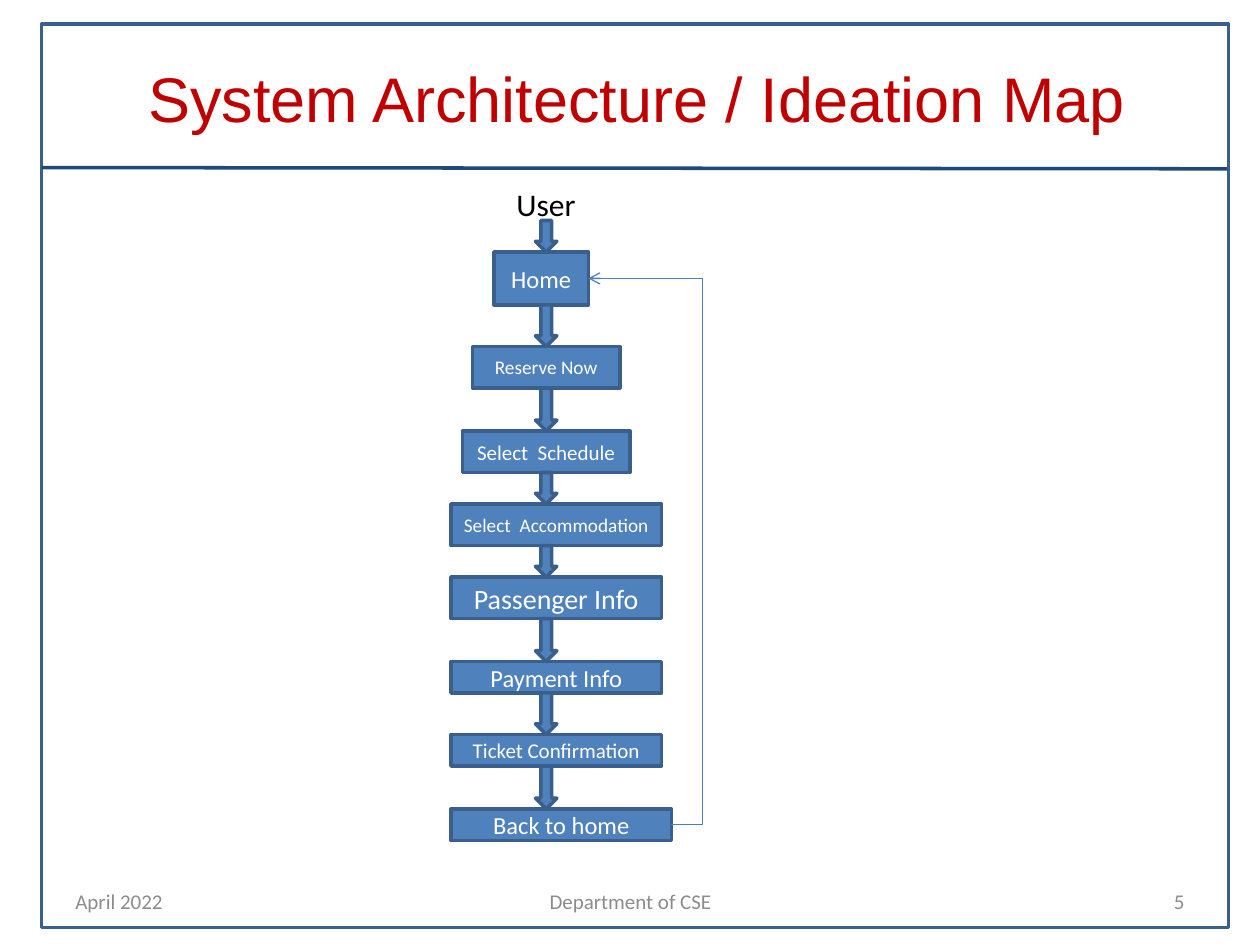
from dataclasses import dataclass

from lxml import etree
from pptx import Presentation
from pptx import util as u
from pptx.dml.color import RGBColor
from pptx.enum import shapes, text
from pptx.oxml import ns


@dataclass(frozen=True)
class Theme:
    heading_font: str = "Arial"
    body_font: str = "Calibri"
    title: str = "C00000"
    ink: str = "000000"
    muted: str = "8C8C8C"
    light: str = "FFFFFF"
    box: str = "4F81BD"
    border: str = "3A5F8C"
    divider: str = "1F497D"
    link: str = "4B7EBC"
    title_size: int = 36
    user_size: int = 18
    footer_size: int = 12
    border_width: float = 2
    link_width: float = 0.75


THEME = Theme()
RIGHT_SITE = 3
ARROW_LEFT, ARROW_WIDTH, ARROW_START = 4.25, 0.17, 1.75

STEPS = [
    ("Home", 3.92, 2, 0.75, 0.42, 14),
    ("Reserve Now", 3.75, 2.75, 1.17, 0.33, 11),
    ("Select  Schedule", 3.67, 3.42, 1.33, 0.33, 12),
    ("Select  Accommodation", 3.58, 4, 1.67, 0.33, 11),
    ("Passenger Info", 3.58, 4.58, 1.67, 0.33, 16),
    ("Payment Info", 3.58, 5.25, 1.67, 0.25, 14),
    ("Ticket Confirmation", 3.58, 5.83, 1.67, 0.25, 12),
    ("Back to home", 3.58, 6.42, 1.75, 0.25, 14),
]

FOOTERS = [
    ("April 2022", 0.5, 2.33, text.PP_ALIGN.LEFT),
    ("Department of CSE", 3.42, 3.17, text.PP_ALIGN.CENTER),
    ("5", 7.17, 2.33, text.PP_ALIGN.RIGHT),
]


def write_text(shape, words, *, size, color, font=THEME.body_font,
               align=text.PP_ALIGN.LEFT, anchor=text.MSO_ANCHOR.TOP, wrap=True):
    frame = shape.text_frame
    frame.word_wrap = wrap
    frame.vertical_anchor = anchor
    paragraph = frame.paragraphs[0]
    paragraph.alignment = align
    run = paragraph.add_run()
    run.text = words
    run.font.name = font
    run.font.size = u.Pt(size)
    run.font.color.rgb = RGBColor.from_string(color)


def add_label(slide, words, left, top, width, height, **text_format):
    label = slide.shapes.add_textbox(*map(u.Inches, (left, top, width, height)))
    write_text(label, words, **text_format)


def add_block(slide, kind, left, top, width, height, fill=None):
    block = slide.shapes.add_shape(kind, *map(u.Inches, (left, top, width, height)))
    block.shadow.inherit = False
    if fill:
        block.fill.solid()
        block.fill.fore_color.rgb = RGBColor.from_string(fill)
    else:
        block.fill.background()
    block.line.color.rgb = RGBColor.from_string(THEME.border)
    block.line.width = u.Pt(THEME.border_width)
    return block


def add_line(slide, kind, start, end, color, width):
    line = slide.shapes.add_connector(kind, *map(u.Inches, (*start, *end)))
    line.line.color.rgb = RGBColor.from_string(color)
    line.line.width = u.Pt(width)
    etree.SubElement(line._element.spPr, ns.qn("a:effectLst"))
    return line


def add_return_link(slide, source, target):
    link = add_line(slide, shapes.MSO_CONNECTOR.ELBOW, (5.33, 6.54), (4.67, 2.21),
                    THEME.link, THEME.link_width)
    link.begin_connect(source, RIGHT_SITE)
    link.end_connect(target, RIGHT_SITE)
    properties = link._element.spPr
    adjustments = properties.find(ns.qn("a:prstGeom")).get_or_add_avLst()
    etree.SubElement(adjustments, ns.qn("a:gd"), name="adj1", fmla="val -37500")
    outline = properties.find(ns.qn("a:ln"))
    etree.SubElement(outline, ns.qn("a:tailEnd"), type="arrow")


def add_flow(slide):
    boxes = []
    for words, left, top, width, height, size in STEPS:
        box = add_block(slide, shapes.MSO_SHAPE.RECTANGLE, left, top, width, height,
                        fill=THEME.box)
        write_text(box, words, size=size, color=THEME.light,
                   align=text.PP_ALIGN.CENTER, anchor=text.MSO_ANCHOR.MIDDLE)
        boxes.append(box)

    arrow_top = ARROW_START
    for _, _, top, _, height, _ in STEPS:
        add_block(slide, shapes.MSO_SHAPE.DOWN_ARROW, ARROW_LEFT, arrow_top,
                  ARROW_WIDTH, top - arrow_top, fill=THEME.box)
        arrow_top = top + height

    add_return_link(slide, boxes[-1], boxes[0])


def add_page_frame(slide):
    add_block(slide, shapes.MSO_SHAPE.RECTANGLE, 0.33, 0.19, 9.42, 7.17)
    add_line(slide, shapes.MSO_CONNECTOR.STRAIGHT, (0.33, 1.33), (9.74, 1.34),
             THEME.divider, THEME.border_width)
    for words, left, width, align in FOOTERS:
        add_label(slide, words, left, 6.95, width, 0.4, size=THEME.footer_size,
                  color=THEME.muted, align=align, anchor=text.MSO_ANCHOR.MIDDLE)


def main():
    presentation = Presentation()
    presentation.slide_width = u.Inches(10)
    presentation.slide_height = u.Inches(7.5)
    slide = presentation.slides.add_slide(presentation.slide_layouts[6])

    add_page_frame(slide)
    add_label(slide, "System Architecture / Ideation Map", 1.08, 0.42, 8.03, 0.71,
              size=THEME.title_size, color=THEME.title, font=THEME.heading_font,
              wrap=False)
    add_label(slide, "User", 4, 1.42, 0.75, 0.4, size=THEME.user_size, color=THEME.ink)
    add_flow(slide)

    presentation.save("out.pptx")


if __name__ == "__main__":
    main()
